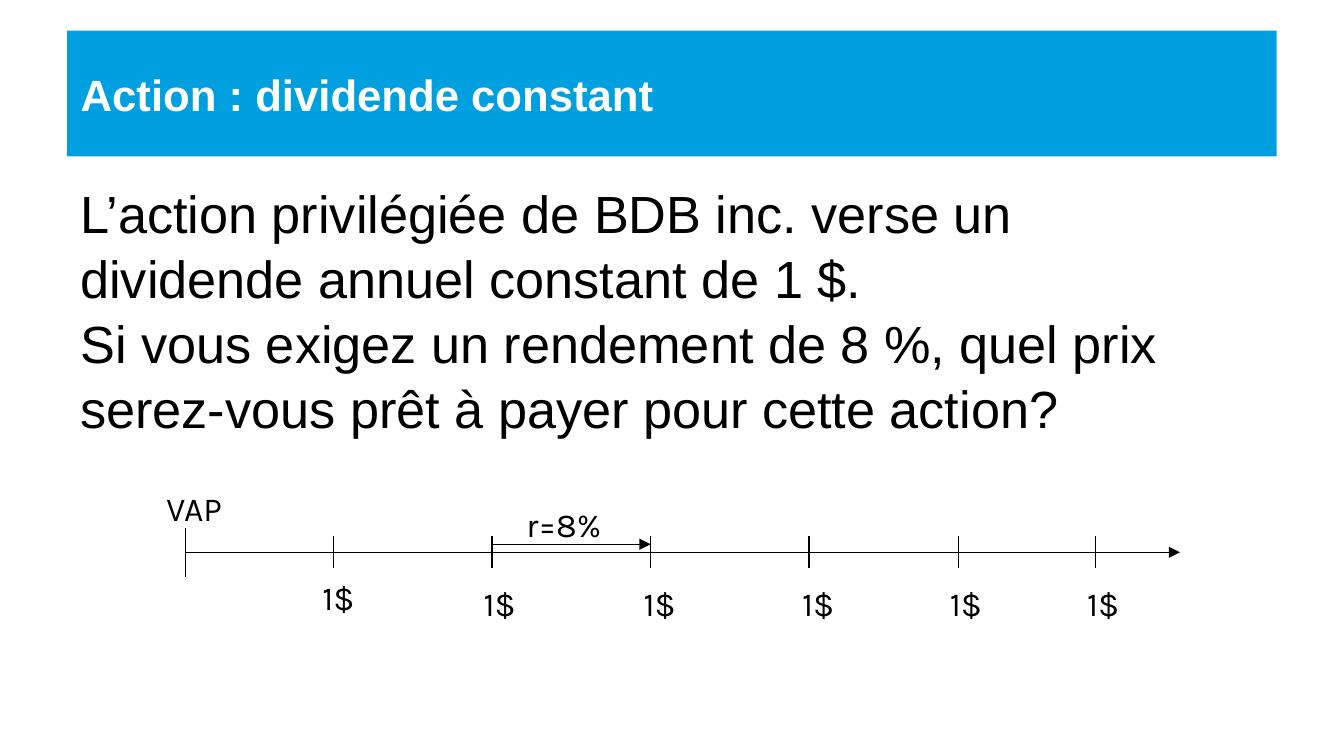
from typing import NamedTuple

from lxml import etree
from pptx import Presentation
from pptx.dml.color import RGBColor
from pptx.enum import shapes, text
from pptx.oxml import ns
from pptx.util import Pt

BLUE = RGBColor(0x00, 0x9F, 0xDF)
BLACK = RGBColor(0, 0, 0)
WHITE = RGBColor(0xFF, 0xFF, 0xFF)

AXIS_Y = 295.9
AXIS_START, AXIS_END = 99.4, 632.2
TICK_HALF = 8.6
LABEL_H = 28.8


class Payment(NamedTuple):
    x: float
    label_x: float
    label_y: float = 308.9


PAYMENTS = [
    Payment(178.6, 165.6, 305.3),
    Payment(263.5, 252),
    Payment(348.5, 337.7),
    Payment(433.4, 422.6),
    Payment(513.4, 501.8),
    Payment(586.8, 575.3),
]


def style(tf, size: float, font: str, color: RGBColor, bold: bool = False) -> None:
    for p in tf.paragraphs:
        for r in p.runs:
            r.font.size = Pt(size)
            r.font.name = font
            r.font.bold = bold
            r.font.color.rgb = color


def add_line(group, x1: float, y1: float, x2: float, y2: float,
             width: float = 0.75, arrow: bool = False) -> None:
    c = group.shapes.add_connector(shapes.MSO_CONNECTOR.STRAIGHT,
                                   Pt(x1), Pt(y1), Pt(x2), Pt(y2))
    c.line.color.rgb = BLACK
    c.line.width = Pt(width)
    if arrow:
        ln = c.line._get_or_add_ln()
        etree.SubElement(ln, ns.qn("a:tailEnd"), type="triangle")
    etree.SubElement(c._element.spPr, ns.qn("a:effectLst"))


def add_label(group, words: str, x: float, y: float, w: float) -> None:
    tf = group.shapes.add_textbox(Pt(x), Pt(y), Pt(w), Pt(LABEL_H)).text_frame
    tf.text = words
    tf.word_wrap = False
    tf.auto_size = text.MSO_AUTO_SIZE.SHAPE_TO_FIT_TEXT
    style(tf, 18, "Karla", BLACK)


def add_title(s) -> None:
    sp = s.shapes.title
    sp.left, sp.top, sp.width, sp.height = Pt(36), Pt(16.4), Pt(648), Pt(67.4)
    sp.fill.solid()
    sp.fill.fore_color.rgb = BLUE
    tf = sp.text_frame
    tf.text = "Action : dividende constant"
    tf.auto_size = text.MSO_AUTO_SIZE.NONE
    tf.vertical_anchor = text.MSO_ANCHOR.MIDDLE
    tf.paragraphs[0].alignment = text.PP_ALIGN.LEFT
    style(tf, 23.4, "Arial", WHITE, bold=True)


def add_question(s) -> None:
    tf = s.shapes.add_textbox(Pt(36), Pt(89.3), Pt(635.8), Pt(279.4)).text_frame
    tf.word_wrap = True
    tf.margin_top = Pt(6.3)
    p = tf.paragraphs[0]
    p.text = ("L’action privilégiée de BDB inc. verse un dividende annuel "
              "constant de 1 $. \vSi vous exigez un rendement de 8 %, quel prix "
              "serez-vous prêt à payer pour cette action?")
    p.line_spacing = 1.04
    style(tf, 28, "Arial", BLACK)


def add_timeline(s) -> None:
    group = s.shapes.add_group_shape()
    add_line(group, AXIS_START, AXIS_Y, AXIS_END, AXIS_Y, arrow=True)
    add_line(group, AXIS_START, AXIS_Y - 13, AXIS_START, AXIS_Y + 13, width=1)
    add_label(group, "VAP", 82.1, 257.8, 46.1)
    for pay in PAYMENTS:
        add_line(group, pay.x, AXIS_Y - TICK_HALF, pay.x, AXIS_Y + TICK_HALF)
        add_label(group, "1$", pay.label_x, pay.label_y, 34.6)
    rate_y = AXIS_Y - TICK_HALF / 2
    add_line(group, PAYMENTS[1].x, rate_y, PAYMENTS[2].x, rate_y, arrow=True)
    add_label(group, "r=8%", 275, 266.4, 61.9)


def main() -> None:
    prs = Presentation()
    prs.slide_width, prs.slide_height = Pt(720), Pt(405)
    s = prs.slides.add_slide(prs.slide_layouts[5])
    add_title(s)
    add_question(s)
    add_timeline(s)
    prs.save("out.pptx")


if __name__ == "__main__":
    main()
